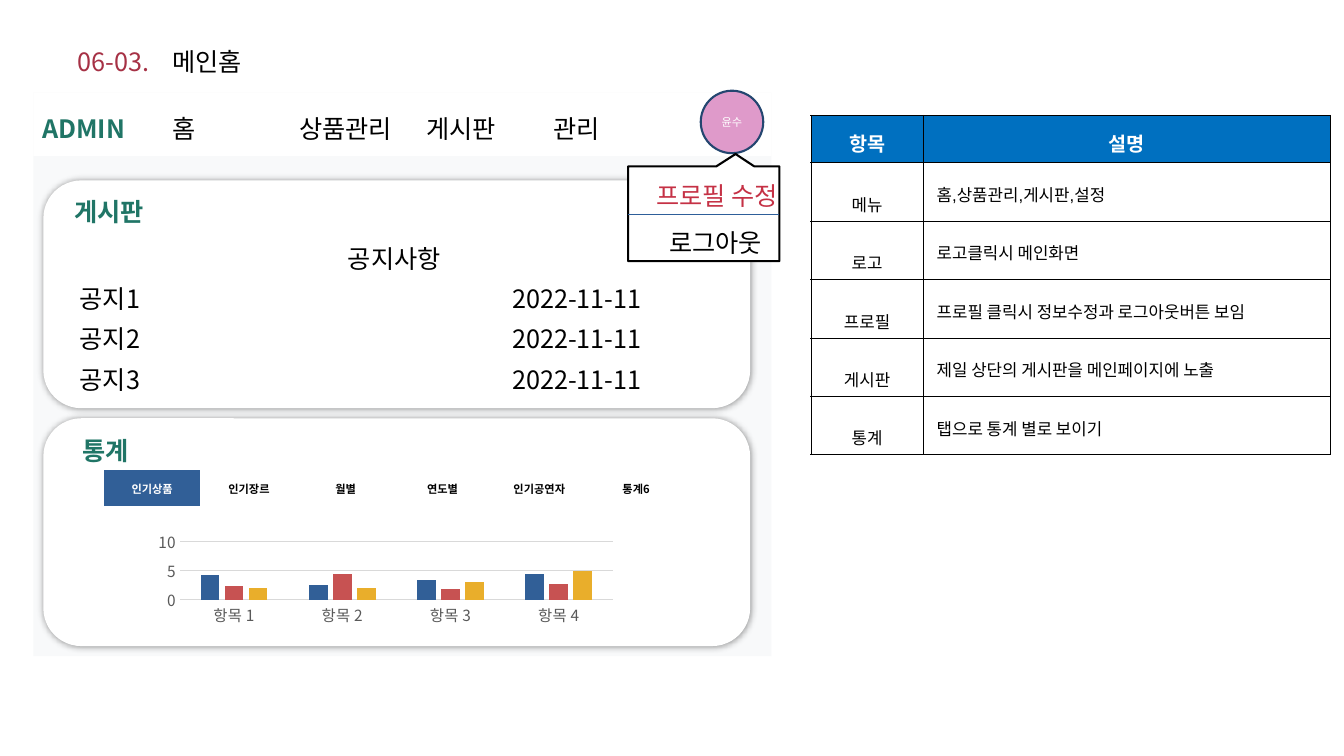
from lxml.etree import SubElement
from pptx import Presentation
from pptx.chart.data import CategoryChartData
from pptx.dml.color import RGBColor
from pptx.enum.chart import XL_CHART_TYPE, XL_TICK_MARK
from pptx.enum.shapes import MSO_CONNECTOR, MSO_SHAPE
from pptx.enum.text import MSO_ANCHOR, MSO_AUTO_SIZE, PP_ALIGN
from pptx.oxml import parse_xml
from pptx.oxml.ns import nsdecls, qn
from pptx.util import Inches, Pt

# Content
TITLE = ("06-03.", "\t메인홈")
MENU = ["홈", "상품관리", "게시판", "관리"]
NOTICE_HEADING = "공지사항"
NOTICES = [("공지1", "2022-11-11"), ("공지2", "2022-11-11"), ("공지3", "2022-11-11")]
STAT_TABS = ["인기상품", "인기장르", "월별", "연도별", "인기공연자", "통계6"]
CATEGORIES = ["항목 1", "항목 2", "항목 3", "항목 4"]
SERIES = [
    ("Series 1", (4.3, 2.5, 3.5, 4.5), "315F97"),
    ("Series 2", (2.4, 4.4, 1.8, 2.8), "C75252"),
    ("Series 3", (2, 2, 3, 5), "E9AE2B"),
]
DESCRIPTIONS = [
    ("항목", "설명"),
    ("메뉴", "홈,상품관리,게시판,설정"),
    ("로고", "로고클릭시 메인화면"),
    ("프로필", "프로필 클릭시 정보수정과 로그아웃버튼 보임"),
    ("게시판", "제일 상단의 게시판을 메인페이지에 노출"),
    ("통계", "탭으로 통계 별로 보이기"),
]
PANELS = [("게시판", 1.79, (0.64, 1.9, 0.93, 0.4)), ("통계", 4.15, (0.72, 4.27, 0.7, 0.4))]

THEME = {
    "font": "Noto Sans CJK KR", "table_font": "Arial",
    "body": 18, "head": 14, "cell": 12, "axis": 11, "chart": 10, "small": 8,
    "black": "000000", "white": "FFFFFF", "number": "A63145", "green": "207566",
    "page": "F8F9FA", "header": "0070C0", "tab": "315F97", "avatar": "DF9ACA",
    "avatar_line": "244670", "divider": "2E5F9A", "alert": "C53145",
    "axis_text": "595959", "grid": "D9D9D9",
}

prs = Presentation()
prs.slide_width, prs.slide_height = Inches(13.33), Inches(7.5)
slide = prs.slides.add_slide(prs.slide_layouts[6])


def rgb(name):
    return RGBColor.from_string(THEME[name])


def style(run, size="body", color="black", bold=False, font="font"):
    run.font.size, run.font.bold = Pt(THEME[size]), bold
    run.font.color.rgb = rgb(color)
    run.font.name = THEME[font]
    SubElement(run.font._element, qn("a:ea")).set("typeface", THEME["font"])


def add_label(text, box, color="black", bold=False, wrap=False):
    label = slide.shapes.add_textbox(*map(Inches, box))
    frame = label.text_frame
    frame.word_wrap, frame.auto_size = wrap, MSO_AUTO_SIZE.SHAPE_TO_FIT_TEXT
    frame.text = text
    style(frame.paragraphs[0].runs[0], color=color, bold=bold)


def add_box(preset, box, fill, line=None):
    shape = slide.shapes.add_shape(preset, *map(Inches, box))
    shape.shadow.inherit = False
    shape.fill.solid()
    shape.fill.fore_color.rgb = rgb(fill)
    if line:
        shape.line.color.rgb, shape.line.width = rgb(line), Pt(1.5)
    else:
        shape.line.fill.background()
    return shape


def add_grid(left, top, widths, heights):
    frame = slide.shapes.add_table(len(heights), len(widths), Inches(left), Inches(top),
                                   Inches(sum(widths)), Inches(sum(heights)))
    table = frame.table
    table.first_row = table.horz_banding = False
    for column, width in zip(table.columns, widths):
        column.width = Inches(width)
    for row, height in zip(table.rows, heights):
        row.height = Inches(height)
    return table


def fill_cell(cell, text, fill=None, borders=None, align=PP_ALIGN.LEFT, **look):
    cell.text = text
    paragraph = cell.text_frame.paragraphs[0]
    paragraph.alignment = align
    for run in paragraph.runs:
        style(run, **look)
    if fill:
        cell.fill.solid()
        cell.fill.fore_color.rgb = rgb(fill)
    else:
        cell.fill.background()
    # Borders: colour and widths for left, right, top, bottom
    color, widths = borders or (None, (0,) * 4)
    for index, (side, width) in enumerate(zip("LRTB", widths)):
        paint = (f'<a:solidFill><a:srgbClr val="{THEME[color]}"/></a:solidFill>'
                 if color else "<a:noFill/>")
        cell._tc.get_or_add_tcPr().insert(index, parse_xml(
            f'<a:ln{side} {nsdecls("a")} w="{int(Pt(width))}">{paint}</a:ln{side}>'))
    return paragraph


def add_panel(heading, top, heading_box):
    panel = add_box(MSO_SHAPE.ROUNDED_RECTANGLE, (0.43, top, 7.01, 2.26), "white")
    glow = parse_xml(
        f'<a:outerShdw {nsdecls("a")} blurRad="{int(Pt(5))}" dist="0" dir="0" algn="ctr" '
        'rotWithShape="0"><a:srgbClr val="000000"><a:alpha val="40000"/></a:srgbClr></a:outerShdw>')
    panel._element.spPr.find(qn("a:effectLst")).append(glow)
    add_label(heading, heading_box, "green", True)


# Title
title = slide.shapes.add_textbox(Inches(0.67), Inches(0.3), Inches(12.02), Inches(0.62))
title.text_frame.word_wrap = True
title.text_frame.vertical_anchor = MSO_ANCHOR.MIDDLE
title_line = title.text_frame.paragraphs[0]
tab_stops = SubElement(title_line._p.get_or_add_pPr(), qn("a:tabLst"))
SubElement(tab_stops, qn("a:tab"), pos=str(int(Inches(0.94))), algn="l")
for part, color in zip(TITLE, ("number", "black")):
    run = title_line.add_run()
    run.text = part
    style(run, color=color)

# Description table
description_table = add_grid(8.04, 1.14, [1.12, 4.03], [0.47] + [0.58] * 5)
for r, row in enumerate(DESCRIPTIONS):
    for c, text in enumerate(row):
        cell = description_table.cell(r, c)
        line = fill_cell(cell, text, "white" if r else "header", ("black", (0.25,) * 4),
                         PP_ALIGN.LEFT if r and c else PP_ALIGN.CENTER,
                         size="cell" if r else "head", color="black" if r else "white",
                         bold=r == 0, font="table_font")
        cell.vertical_anchor = MSO_ANCHOR.MIDDLE
        cell.margin_left = cell.margin_right = Inches(0.13)
        line.line_spacing = (1.2 if c else 2.0) if r else 1.3
        if r == 0:
            line.space_after = Pt(2.8)

# Page background and menu bar
add_box(MSO_SHAPE.RECTANGLE, (0.33, 0.92, 7.32, 5.59), "page")
add_box(MSO_SHAPE.RECTANGLE, (0.33, 0.92, 7.32, 0.63), "white")
add_label("ADMIN", (0.32, 1.07, 1.02, 0.39), "green", True)
for i, item in enumerate(MENU):
    add_label(item, (1.61 + 1.26 * i, 1.07, 1.26, 0.39), wrap=True)

# Notice board
add_panel(*PANELS[0])
notice_table = add_grid(0.69, 2.32, [4.29, 2.15], [0.4] * 4)
for r, row in enumerate([(NOTICE_HEADING, "")] + NOTICES):
    for c, text in enumerate(row):
        fill_cell(notice_table.cell(r, c), text, align=PP_ALIGN.LEFT if r else PP_ALIGN.CENTER)
notice_table.cell(0, 0).merge(notice_table.cell(0, 1))

# Statistics chart
add_panel(*PANELS[1])
stats = CategoryChartData()
stats.categories = CATEGORIES
for name, values, _ in SERIES:
    stats.add_series(name, values)
chart = slide.shapes.add_chart(XL_CHART_TYPE.COLUMN_CLUSTERED, Inches(1.54), Inches(4.59),
                               Inches(4.88), Inches(1.64), stats).chart
chart.has_legend = chart.has_title = False
chart.font.name, chart.font.size = THEME["font"], Pt(THEME["chart"])
chart.font.color.rgb = rgb("black")
plot = chart.plots[0]
plot.gap_width, plot.overlap, plot.vary_by_categories = 219, -27, False
for series, (_, _, color) in zip(plot.series, SERIES):
    series.format.fill.solid()
    series.format.fill.fore_color.rgb = RGBColor.from_string(color)
for axis in (chart.category_axis, chart.value_axis):
    axis.major_tick_mark = axis.minor_tick_mark = XL_TICK_MARK.NONE
    labels = axis.tick_labels.font
    labels.size, labels.name = Pt(THEME["axis"]), THEME["font"]
    labels.color.rgb = rgb("axis_text")
value_axis = chart.value_axis
value_axis.minimum_scale, value_axis.maximum_scale, value_axis.major_unit = 0, 10, 5
value_axis.format.line.fill.background()
for rule in (chart.category_axis.format.line, value_axis.major_gridlines.format.line):
    rule.color.rgb, rule.width = rgb("grid"), Pt(0.75)
plot_area = chart._chartSpace.chart.plotArea
for old_layout in plot_area.findall(qn("c:layout")):
    plot_area.remove(old_layout)
layout = SubElement(plot_area, qn("c:layout"))
plot_area.insert(0, layout)
manual = SubElement(layout, qn("c:manualLayout"))
for tag, value in (("layoutTarget", "inner"), ("xMode", "edge"), ("yMode", "edge"),
                   ("x", 0.05), ("y", 0.48), ("w", 0.88), ("h", 0.35)):
    SubElement(manual, qn(f"c:{tag}"), val=str(value))

# Statistics tabs
tab_table = add_grid(1.03, 4.66, [0.96] * len(STAT_TABS), [0.38])
for c, text in enumerate(STAT_TABS):
    cell = tab_table.cell(0, c)
    fill_cell(cell, text, "white" if c else "tab", ("white", (1, 1, 1, 3)), PP_ALIGN.CENTER,
              size="small", color="black" if c else "white", bold=True)
    cell.vertical_anchor = MSO_ANCHOR.MIDDLE

# Profile avatar and its menu
avatar = add_box(MSO_SHAPE.OVAL, (6.95, 0.9, 0.62, 0.62), "avatar", "avatar_line")
avatar.text_frame.text = "윤수"
avatar.text_frame.paragraphs[0].alignment = PP_ALIGN.CENTER
style(avatar.text_frame.paragraphs[0].runs[0], "small", "white")
callout = add_box(MSO_SHAPE.RECTANGULAR_CALLOUT, (6.23, 1.65, 1.5, 0.94), "white", "black")
callout.rotation = 180
callout.adjustments[0], callout.adjustments[1] = -0.21, 0.63
divider = slide.shapes.add_connector(MSO_CONNECTOR.STRAIGHT, Inches(6.23), Inches(2.13),
                                     Inches(7.73), Inches(2.13))
divider.line.color.rgb, divider.line.width = rgb("divider"), Pt(1)
SubElement(divider._element.spPr, qn("a:effectLst"))
add_label("로그아웃", (6.54, 2.21, 1.18, 0.4))
add_label("프로필 수정", (6.41, 1.74, 1.5, 0.4), "alert")

prs.save("out.pptx")
